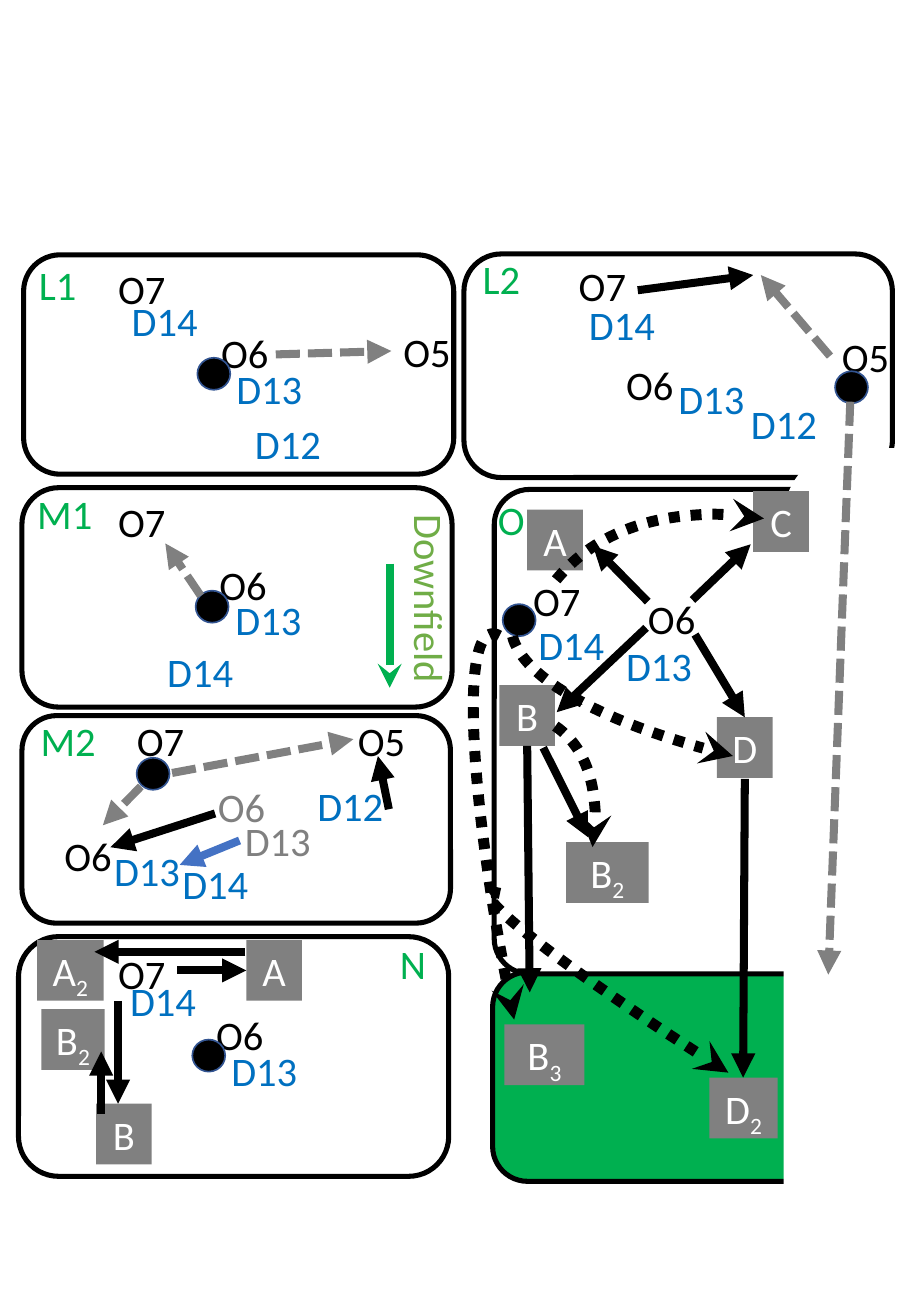
from dataclasses import dataclass

from lxml.etree import SubElement
from pptx import Presentation
from pptx.dml.color import RGBColor
from pptx.enum.dml import MSO_LINE
from pptx.enum.shapes import MSO_CONNECTOR, MSO_SHAPE
from pptx.enum.text import MSO_ANCHOR, MSO_AUTO_SIZE, PP_ALIGN
from pptx.oxml.ns import qn
from pptx.util import Pt

BLACK = RGBColor(0x00, 0x00, 0x00)
WHITE = RGBColor(0xFF, 0xFF, 0xFF)
GRAY = RGBColor(0x80, 0x80, 0x80)
GREEN = RGBColor(0x00, 0xB0, 0x50)
LIGHT_GREEN = RGBColor(0x70, 0xAD, 0x47)
DEFENSE_BLUE = RGBColor(0x00, 0x70, 0xC0)
SHIFT_BLUE = RGBColor(0x44, 0x72, 0xC4)
BALL_EDGE = RGBColor(0x32, 0x54, 0x91)

ROW_HEIGHT = 36
PLAYER_WIDTHS = {"O5": 47, "O6": 60, "O7": 53, "D12": 62, "D13": 70, "D14": 70}
NAME_WIDTH = 53
BALL_SIZE = (19.5, 19)


@dataclass
class Panel:
    frame: tuple[float, float, float, float]
    fill: RGBColor = WHITE
    outlined: bool = True
    corner: float = 0.16667


@dataclass
class Player:
    name: str
    x: float
    y: float
    color: RGBColor | None = None


@dataclass
class Spot:
    letter: str
    x: float
    y: float
    width: float = 33
    index: str = ""


@dataclass
class Stroke:
    color: RGBColor = BLACK
    width: float = 4.75
    dash: MSO_LINE | None = None
    tip: str = "triangle"


@dataclass
class Curve:
    frame: tuple[float, float, float, float]
    rotation: float
    end: float = 179.634
    flipped: bool = False


RUN = Stroke()
PASS = Stroke(GRAY, dash=MSO_LINE.SQUARE_DOT)
SHIFT = Stroke(SHIFT_BLUE)
DOWNFIELD = Stroke(GREEN, tip="stealth")
LOB = Stroke(width=6.5, dash=MSO_LINE.ROUND_DOT, tip="stealth")
CURVE_START = 161.319

PANELS = [
    Panel((292, 576, 256, 124), GREEN),
    Panel((11, 555, 255, 142)),
    Panel((275, 150.5, 254, 132.5)),
    Panel((14, 151, 255, 130)),
    Panel((13, 424, 254, 123)),
    Panel((13, 289, 255, 130)),
    Panel((293, 290, 255, 287), corner=0.082),
    Panel((464.5, 265.5, 247.5, 515), outlined=False),
]
PANEL_NAMES = {"L1": (16, 150.5), "L2": (279, 147), "M1": (15, 286.5),
               "M2": (17, 421), "N": (230, 553), "O": (288, 289.5)}
PLAYERS = [
    # L1
    Player("O6", 124, 191), Player("O7", 63, 153), Player("D13", 133, 212),
    Player("D14", 71, 172), Player("O5", 232, 190), Player("D12", 144, 245),
    # L2
    Player("O6", 364, 210), Player("O7", 336, 151), Player("D13", 395, 218),
    Player("D14", 342, 174), Player("O5", 492, 193), Player("D12", 438, 233),
    # M1
    Player("O6", 123, 328), Player("O7", 63, 291),
    Player("D13", 132.5, 349), Player("D14", 92, 380),
    # M2
    Player("O6", 31, 489), Player("O7", 74, 421), Player("D13", 60.5, 498),
    Player("D14", 101, 505.5), Player("O6", 122, 460, GRAY),
    Player("D13", 138, 480, GRAY), Player("O5", 205, 421), Player("D12", 181, 459),
    # N
    Player("O6", 121, 595), Player("O7", 63, 559),
    Player("D13", 130, 616), Player("D14", 70, 575),
    # O
    Player("O7", 309, 338), Player("D14", 312, 364),
    Player("O6", 377, 348.5), Player("D13", 364, 376),
]
BALLS = [(117, 212), (495, 220), (116, 350), (81, 449), (114, 616), (298, 358)]
SPOTS = [
    Spot("B", 24.5, 598, 37.5, "2"), Spot("A", 22, 557, 39.5, "2"),
    Spot("B", 57, 654), Spot("A", 146, 557),
    Spot("A", 312.5, 302), Spot("B", 296, 406), Spot("C", 446.5, 291),
    Spot("D", 425, 425), Spot("B", 335.5, 499, 49, "2"),
    Spot("B", 299, 607, 47.5, "3"), Spot("D", 420.5, 638.5, 40.5, "2"),
]
ARROWS = [
    (PASS, [(163.5, 210, 232, 208), (492, 211, 451, 163), (504, 238, 491, 577.5),
            (119, 353, 98, 322), (83.5, 466, 61, 489), (102, 458, 209.5, 438)]),
    (DOWNFIELD, [(231, 334, 231, 407.5)]),
    (SHIFT, [(142, 498, 106.5, 512.5)]),
    (RUN, [(378, 172, 446.5, 163), (127.5, 482, 65.5, 502), (230.5, 479.5, 224, 448),
           (105, 575, 146, 575), (145.5, 564, 56, 564), (70, 593, 70, 654),
           (60, 660, 60, 623), (384, 356.5, 351.5, 323.5), (383, 372, 330, 422),
           (322, 443, 348.5, 496), (412, 376, 441.5, 425),
           (410.5, 355.5, 445, 322.5), (312.5, 442, 314, 588),
           (441.5, 461.5, 440.5, 638.5)]),
]
CURVES = [
    Curve((307.5, 370, 70.5, 486.5), 347.7, 200.527, True),
    Curve((430, 444, 29, 365), 302.1, 202.581, True),
    Curve((483, 138, 148.5, 510.5), 275.4, flipped=True),
    Curve((158.5, 401, 165.5, 294), 37.9),
    Curve((366.5, 256.5, 308, 505.5), 312.1),
]


def write(shape, text: str, *, color: RGBColor, subscript: str = "",
          align: PP_ALIGN = PP_ALIGN.LEFT) -> None:
    frame = shape.text_frame
    frame.word_wrap = True
    frame.auto_size = MSO_AUTO_SIZE.SHAPE_TO_FIT_TEXT
    frame.vertical_anchor = MSO_ANCHOR.TOP
    paragraph = frame.paragraphs[0]
    paragraph.alignment = align
    for part, lowered in ((text, False), (subscript, True)):
        if not part:
            continue
        run = paragraph.add_run()
        run.text = part
        run.font.name = "Calibri"
        run.font.size = Pt(24)
        run.font.color.rgb = color
        if lowered:
            run.font._element.set("baseline", "-25000")


def add_label(slide, text: str, x: float, y: float, width: float, color: RGBColor):
    label = slide.shapes.add_textbox(Pt(x), Pt(y), Pt(width), Pt(ROW_HEIGHT))
    write(label, text, color=color)
    return label


def add_filled(slide, kind: MSO_SHAPE, frame: tuple, fill: RGBColor,
               edge: RGBColor | None = None, edge_width: float = 1):
    shape = slide.shapes.add_shape(kind, *map(Pt, frame))
    shape.shadow.inherit = False
    shape.fill.solid()
    shape.fill.fore_color.rgb = fill
    if edge is None:
        shape.line.fill.background()
    else:
        shape.line.color.rgb = edge
        shape.line.width = Pt(edge_width)
    return shape


def apply_stroke(line, stroke: Stroke) -> None:
    line.color.rgb = stroke.color
    line.width = Pt(stroke.width)
    if stroke.dash is not None:
        line.dash_style = stroke.dash
    SubElement(line._get_or_add_ln(), qn("a:tailEnd"), type=stroke.tip)


def add_arrow(slide, ends: tuple, stroke: Stroke) -> None:
    arrow = slide.shapes.add_connector(MSO_CONNECTOR.STRAIGHT, *map(Pt, ends))
    apply_stroke(arrow.line, stroke)
    SubElement(arrow._element.spPr, qn("a:effectLst"))


def add_curve(slide, curve: Curve) -> None:
    arc = slide.shapes.add_shape(MSO_SHAPE.ARC, *map(Pt, curve.frame))
    arc.shadow.inherit = False
    arc.fill.background()
    arc.adjustments[0] = CURVE_START
    arc.adjustments[1] = curve.end
    arc.rotation = curve.rotation
    if curve.flipped:
        arc._element.spPr.find(qn("a:xfrm")).set("flipH", "1")
    apply_stroke(arc.line, LOB)


def main() -> None:
    deck = Presentation()
    deck.slide_width, deck.slide_height = Pt(540), Pt(779.76)
    slide = deck.slides.add_slide(deck.slide_layouts[6])
    for panel in PANELS:
        box = add_filled(slide, MSO_SHAPE.ROUNDED_RECTANGLE, panel.frame, panel.fill,
                         BLACK if panel.outlined else None, 3)
        box.adjustments[0] = panel.corner
    for player in PLAYERS:
        team = BLACK if player.name.startswith("O") else DEFENSE_BLUE
        add_label(slide, player.name, player.x, player.y,
                  PLAYER_WIDTHS[player.name], player.color or team)
    add_label(slide, "Downfield", 193, 342, 124, LIGHT_GREEN).rotation = 90
    for corner in BALLS:
        add_filled(slide, MSO_SHAPE.OVAL, corner + BALL_SIZE, BLACK, BALL_EDGE)
    for spot in SPOTS:
        block = add_filled(slide, MSO_SHAPE.RECTANGLE,
                           (spot.x, spot.y, spot.width, ROW_HEIGHT), GRAY)
        write(block, spot.letter, color=WHITE, subscript=spot.index,
              align=PP_ALIGN.CENTER)
    for stroke, routes in ARROWS:
        for ends in routes:
            add_arrow(slide, ends, stroke)
    for curve in CURVES:
        add_curve(slide, curve)
    for name, (x, y) in PANEL_NAMES.items():
        add_label(slide, name, x, y, NAME_WIDTH, GREEN)
    deck.save("out.pptx")


if __name__ == "__main__":
    main()
